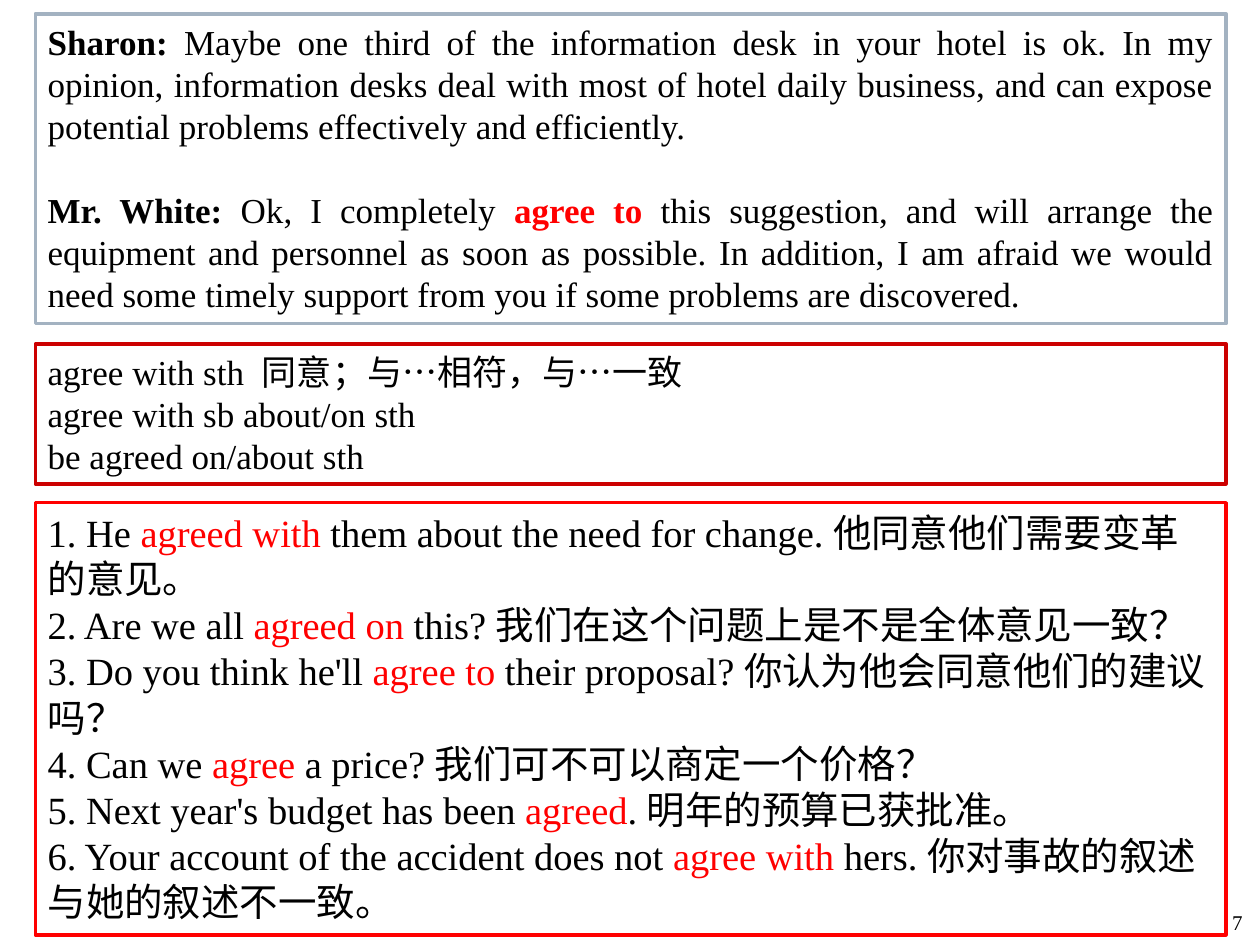
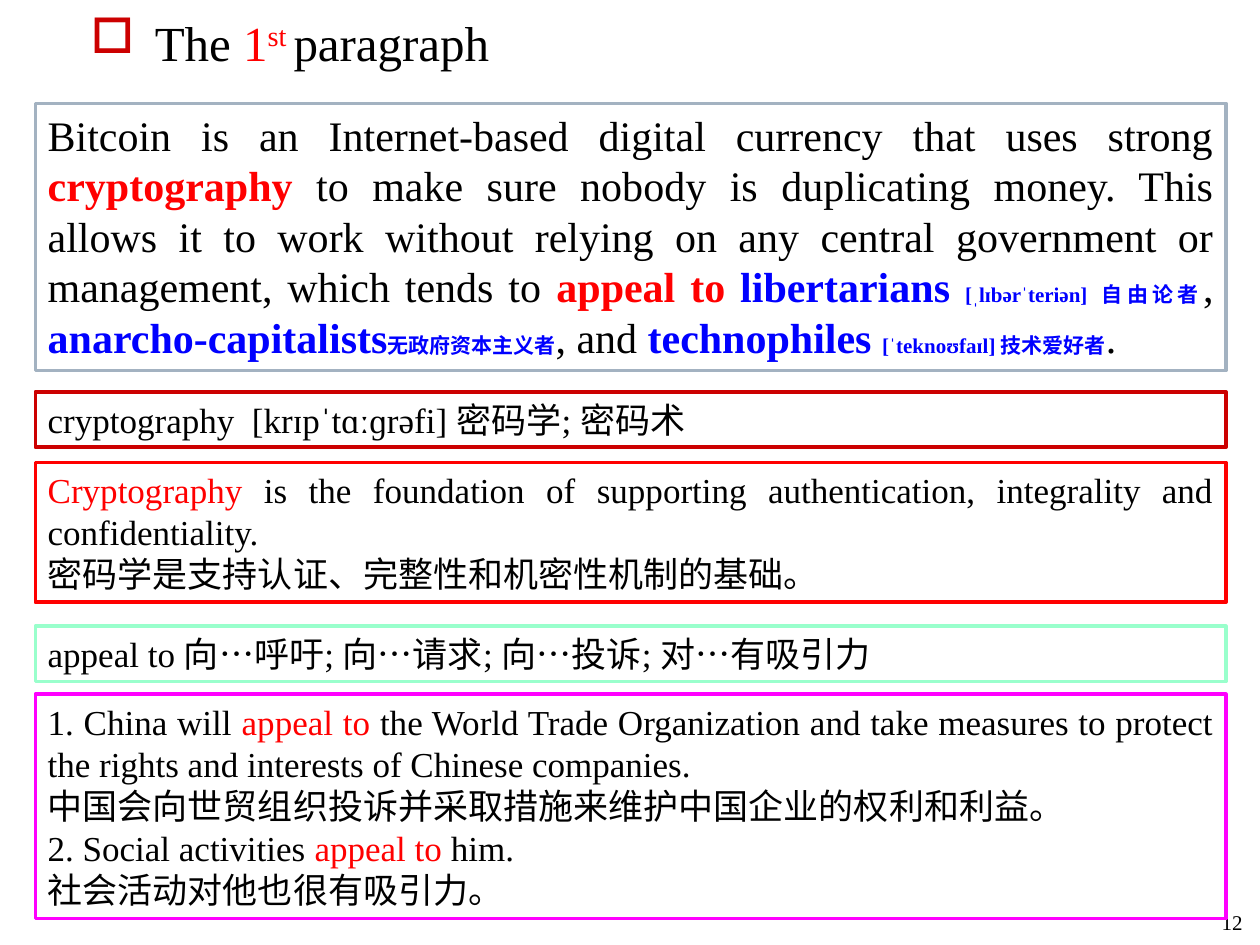
from lxml.etree import SubElement
from pptx import Presentation
from pptx.dml.color import RGBColor
from pptx.enum.shapes import MSO_SHAPE
from pptx.enum.text import MSO_ANCHOR, MSO_AUTO_SIZE, PP_ALIGN
from pptx.oxml.ns import qn
from pptx.util import Inches, Pt

BLACK = RGBColor(0, 0, 0)
WHITE = RGBColor(0xFF, 0xFF, 0xFF)
RED = RGBColor(0xFF, 0, 0)
BLUE = RGBColor(0, 0, 0xFF)
DARK_RED = RGBColor(0xCC, 0, 0)
SLATE = RGBColor(0xA3, 0xB2, 0xC1)
MINT = RGBColor(0x99, 0xFF, 0xCC)
MAGENTA = RGBColor(0xFF, 0, 0xFF)
FONT = "Times New Roman"
BOX_LEFT, BOX_WIDTH = 0.28, 9.45
LEFT, RIGHT, JUSTIFY = PP_ALIGN.LEFT, PP_ALIGN.RIGHT, PP_ALIGN.JUSTIFY

# Span styles: font values that differ from plain black text
STYLES = {
    "plain": {},
    "bold": {"bold": True},
    "red": {"color": RED},
    "key": {"color": RED, "bold": True},
    "term": {"color": BLUE, "bold": True},
    "gloss": {"color": BLUE, "bold": True, "size": Pt(12)},
    "raised": {"color": RED, "baseline": 30},
}

# Content: a paragraph is a list of spans, each plain text or (text, style)
DIALOGUE = [
    [("Sharon: ", "bold"),
     "Maybe one third of the information desk in your hotel is ok. In my opinion, "
     "information desks deal with most of hotel daily business, and can expose "
     "potential problems effectively and efficiently. "],
    [("Mr. White: ", "bold"), "Ok, I completely ", ("agree to ", "key"),
     "this suggestion, and will arrange the equipment and personnel as soon as "
     "possible. In addition, I am afraid we would need some timely support from "
     "you if some problems are discovered."],
]
AGREE_PHRASES = [
    ["agree with sth  同意；与…相符，与…一致"],
    ["agree with sb about/on sth"],
    ["be agreed on/about sth"],
]
AGREE_EXAMPLES = [
    ["1. He ", ("agreed with ", "red"),
     "them about the need for change. 他同意他们需要变革的意见。"],
    ["2. Are we all ", ("agreed on ", "red"),
     "this? 我们在这个问题上是不是全体意见一致？"],
    ["3. Do you think he'll ", ("agree to ", "red"),
     "their proposal? 你认为他会同意他们的建议吗？"],
    ["4. Can we ", ("agree", "red"), " a price? 我们可不可以商定一个价格？"],
    ["5. Next year's budget has been ", ("agreed", "red"), ". 明年的预算已获批准。"],
    ["6. Your account of the accident does not ", ("agree with ", "red"),
     "hers. 你对事故的叙述与她的叙述不一致。"],
]
HEADING = ["The ", ("1", "red"), ("st ", "raised"), "paragraph"]
CURRENCY = [
    ["Bitcoin is an Internet-based digital currency that uses strong ",
     ("cryptography", "key"),
     " to make sure nobody is duplicating money. This allows it to work without "
     "relying on any central government or management, which tends to ",
     ("appeal to ", "key"), ("libertarians ", "term"),
     ("[ˌlɪbərˈteriən] 自由论者", "gloss"), ", ",
     ("anarcho-capitalists", "term"), ("无政府资本主义者", "gloss"), ", and ",
     ("technophiles ", "term"), ("[ˈteknoʊfaɪl] 技术爱好者", "gloss"), "."],
]
CRYPTOGRAPHY_WORD = [["cryptography  [krɪpˈtɑːɡrəfi] 密码学; 密码术"]]
CRYPTOGRAPHY_EXAMPLE = [
    [("Cryptography", "red"),
     " is the foundation of supporting authentication, integrality and "
     "confidentiality. "],
    ["密码学是支持认证、完整性和机密性机制的基础。"],
]
APPEAL_WORD = [["appeal to 向…呼吁; 向…请求; 向…投诉; 对…有吸引力"]]
APPEAL_EXAMPLES = [
    ["1. China will ", ("appeal to", "red"),
     " the World Trade Organization and take measures to protect the rights and "
     "interests of Chinese companies."],
    ["中国会向世贸组织投诉并采取措施来维护中国企业的权利和利益。"],
    ["2. Social activities ", ("appeal to ", "red"), "him.  "],
    ["社会活动对他也很有吸引力。"],
]

# Each box: top, height, outline, size, alignment, paragraph gap, paragraphs
PAGES = [
    {"number": "7", "heading": None, "boxes": [
        (0.11, 2.46, SLATE, 20, JUSTIFY, 24, DIALOGUE),
        (2.73, 1.11, DARK_RED, 20, LEFT, 0, AGREE_PHRASES),
        (3.99, 3.43, RED, 22, LEFT, 0, AGREE_EXAMPLES),
    ]},
    {"number": "12", "heading": HEADING, "boxes": [
        (0.82, 2.12, SLATE, 24, JUSTIFY, 0, CURRENCY),
        (3.11, 0.44, DARK_RED, 20, LEFT, 0, CRYPTOGRAPHY_WORD),
        (3.67, 1.11, RED, 20, JUSTIFY, 0, CRYPTOGRAPHY_EXAMPLE),
        (4.97, 0.44, MINT, 20, LEFT, 0, APPEAL_WORD),
        (5.51, 1.78, MAGENTA, 20, JUSTIFY, 0, APPEAL_EXAMPLES),
    ]},
]


def write_spans(para, spans, size):
    for item in spans:
        text, style = (item, "plain") if isinstance(item, str) else item
        span = para.add_run()
        span.text = text
        values = {"name": FONT, "size": Pt(size), "bold": False,
                  "color": BLACK, **STYLES[style]}
        for name, value in values.items():
            if name == "color":
                span.font.color.rgb = value
            elif name == "baseline":
                span.font._element.set("baseline", str(value * 1000))
            else:
                setattr(span.font, name, value)


def write_paragraphs(frame, paragraphs, size, alignment, gap=0):
    frame.word_wrap = True
    for index, spans in enumerate(paragraphs):
        para = frame.add_paragraph() if index else frame.paragraphs[0]
        para.alignment = alignment
        if index and gap:
            para.space_before = Pt(gap)
        write_spans(para, spans, size)


def add_number(page, number):
    box = page.shapes.add_textbox(Inches(9.37), Inches(6.9), Inches(0.59), Inches(0.57))
    box.text_frame.vertical_anchor = MSO_ANCHOR.BOTTOM
    write_paragraphs(box.text_frame, [[number]], 12, RIGHT)


def add_heading(page, spans):
    box = page.shapes.add_textbox(Inches(0.62), Inches(0.05), Inches(8.75), Inches(5.43))
    write_paragraphs(box.text_frame, [spans], 28, LEFT)
    para = box.text_frame.paragraphs[0]
    para.space_before = Pt(3)
    # Hanging square bullet
    properties = para._p.get_or_add_pPr()
    properties.set("marL", str(Inches(0.51)))
    properties.set("indent", str(-Inches(0.51)))
    color = SubElement(properties, qn("a:buClr"))
    SubElement(color, qn("a:srgbClr"), val=str(DARK_RED))
    SubElement(properties, qn("a:buChar"), char="□")


def add_box(page, top, height, outline, size, alignment, gap, paragraphs):
    box = page.shapes.add_shape(MSO_SHAPE.RECTANGLE, Inches(BOX_LEFT), Inches(top),
                                Inches(BOX_WIDTH), Inches(height))
    box.shadow.inherit = False
    box.fill.solid()
    box.fill.fore_color.rgb = WHITE
    box.line.color.rgb = outline
    box.line.width = Pt(2)
    box.text_frame.vertical_anchor = MSO_ANCHOR.TOP
    box.text_frame.auto_size = MSO_AUTO_SIZE.SHAPE_TO_FIT_TEXT
    write_paragraphs(box.text_frame, paragraphs, size, alignment, gap)


deck = Presentation()
deck.slide_width, deck.slide_height = Inches(10), Inches(7.5)
for content in PAGES:
    page = deck.slides.add_slide(deck.slide_layouts[6])
    if content["heading"]:
        add_heading(page, content["heading"])
    add_number(page, content["number"])
    for box_values in content["boxes"]:
        add_box(page, *box_values)
deck.save("out.pptx")
